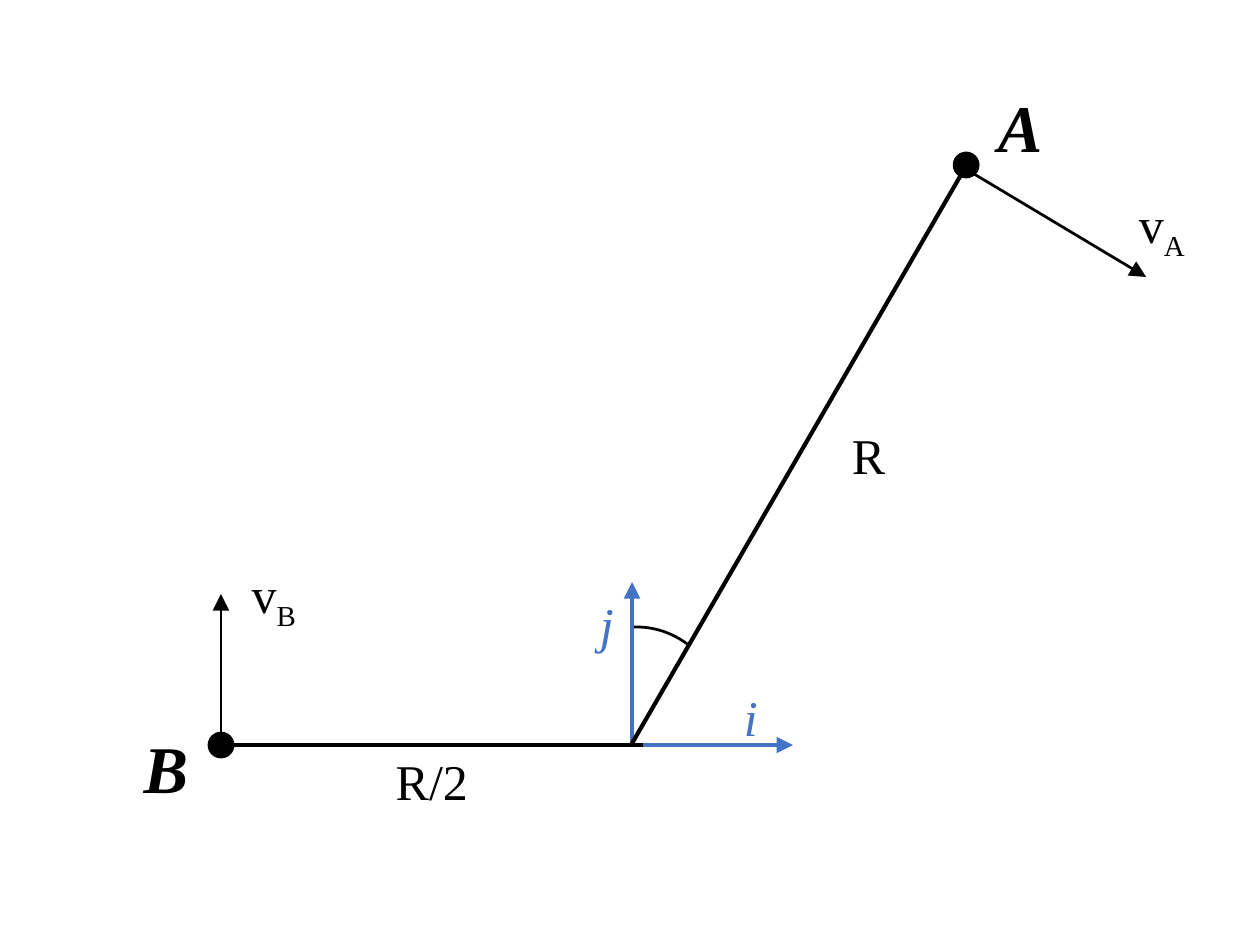
from lxml import etree
from pptx import Presentation
from pptx.dml.color import RGBColor
from pptx.enum.shapes import MSO_CONNECTOR as Connector, MSO_SHAPE as Shape
from pptx.enum.text import MSO_AUTO_SIZE as AutoSize
from pptx.oxml.ns import qn
from pptx.util import Cm, Pt

PX = 914400 // 200
BLACK = RGBColor(0x00, 0x00, 0x00)
BLUE = RGBColor(0x44, 0x72, 0xC4)
FONT = "Times New Roman"
LABEL_WIDTH = 164
DOT_SIZE = 24


def px(*lengths):
    return [length * PX for length in lengths]


def add_line(page, start, end, color=BLACK, width=1.0, arrow=False):
    line = page.shapes.add_connector(Connector.STRAIGHT, *px(*start, *end))
    line.line.color.rgb = color
    line.line.width = Pt(width)
    if arrow:
        etree.SubElement(line.line._get_or_add_ln(), qn("a:tailEnd"), type="triangle")
    etree.SubElement(line._element.spPr, qn("a:effectLst"))


def add_label(page, text, left, top, width=LABEL_WIDTH, height=68, size=18,
              color=BLACK, bold=False, italic=False, subscript=""):
    box = page.shapes.add_textbox(*px(left, top, width, height))
    frame = box.text_frame
    frame.word_wrap = True
    frame.auto_size = AutoSize.SHAPE_TO_FIT_TEXT
    para = frame.paragraphs[0]
    para.text = text
    if subscript:
        para.add_run().text = subscript
        para.runs[1].font._element.set("baseline", "-25000")
    for span in para.runs:
        font = span.font
        font.name, font.size, font.color.rgb = FONT, Pt(size), color
        font.bold, font.italic = bold, italic


def add_outlined(page, preset, left, top, width, height):
    shape = page.shapes.add_shape(preset, *px(left, top, width, height))
    shape.shadow.inherit = False
    shape.line.color.rgb = BLACK
    shape.line.width = Pt(1)
    return shape


def draw_axes(page, x, y):
    """Unit vectors i and j with their origin at (x, y)."""
    for end, name, left, top in (
        ((x + 161, y), "i", x + 92, y - 68),
        ((x, y - 163), "j", x - 52, y - 161),
    ):
        add_line(page, (x, y), end, BLUE, 1.5, arrow=True)
        add_label(page, name, left, top, height=80, color=BLUE, italic=True)


def draw_rods(page, x, y):
    """The two rods that meet at (x, y), and the angle from j to the long one."""
    add_line(page, (x - 1, y), (x + 334, y - 579), width=1.5)
    add_line(page, (x + 11, y), (x - 411, y), width=1.5)
    add_label(page, "R/2", x - 256, y - 4)
    add_label(page, "R", x + 200, y - 330)
    angle = add_outlined(page, Shape.ARC, x - 87, y - 118, 184, 210)
    angle.fill.background()
    angle.adjustments[0] = 160.995
    angle.adjustments[1] = 180.34


def draw_particle(page, x, y, name, name_at, name_width, arrow_from, arrow_to, speed_at):
    """A dot centred on (x, y); the other places are offsets from it."""
    def place(offset):
        return x + offset[0], y + offset[1]

    dot = add_outlined(page, Shape.OVAL, *place((-DOT_SIZE // 2, -DOT_SIZE // 2)),
                       DOT_SIZE, DOT_SIZE)
    dot.fill.solid()
    dot.fill.fore_color.rgb = BLACK
    add_label(page, name, *place(name_at), width=name_width, height=102, size=24,
              bold=True, italic=True)
    add_line(page, place(arrow_from), place(arrow_to), arrow=True)
    add_label(page, "v", *place(speed_at), subscript=name)


def main():
    deck = Presentation()
    deck.slide_width, deck.slide_height = Cm(16), Cm(12)
    page = deck.slides.add_slide(deck.slide_layouts[6])
    joint = (632, 745)
    draw_axes(page, *joint)
    draw_rods(page, *joint)
    draw_particle(page, 221, 745, "B", (-97, -28), 244, (0, -12), (0, -151), (11, -191))
    draw_particle(page, 966, 165, "A", (12, -89), 80, (8, 9), (180, 112), (153, 19))
    deck.save("out.pptx")


if __name__ == "__main__":
    main()
